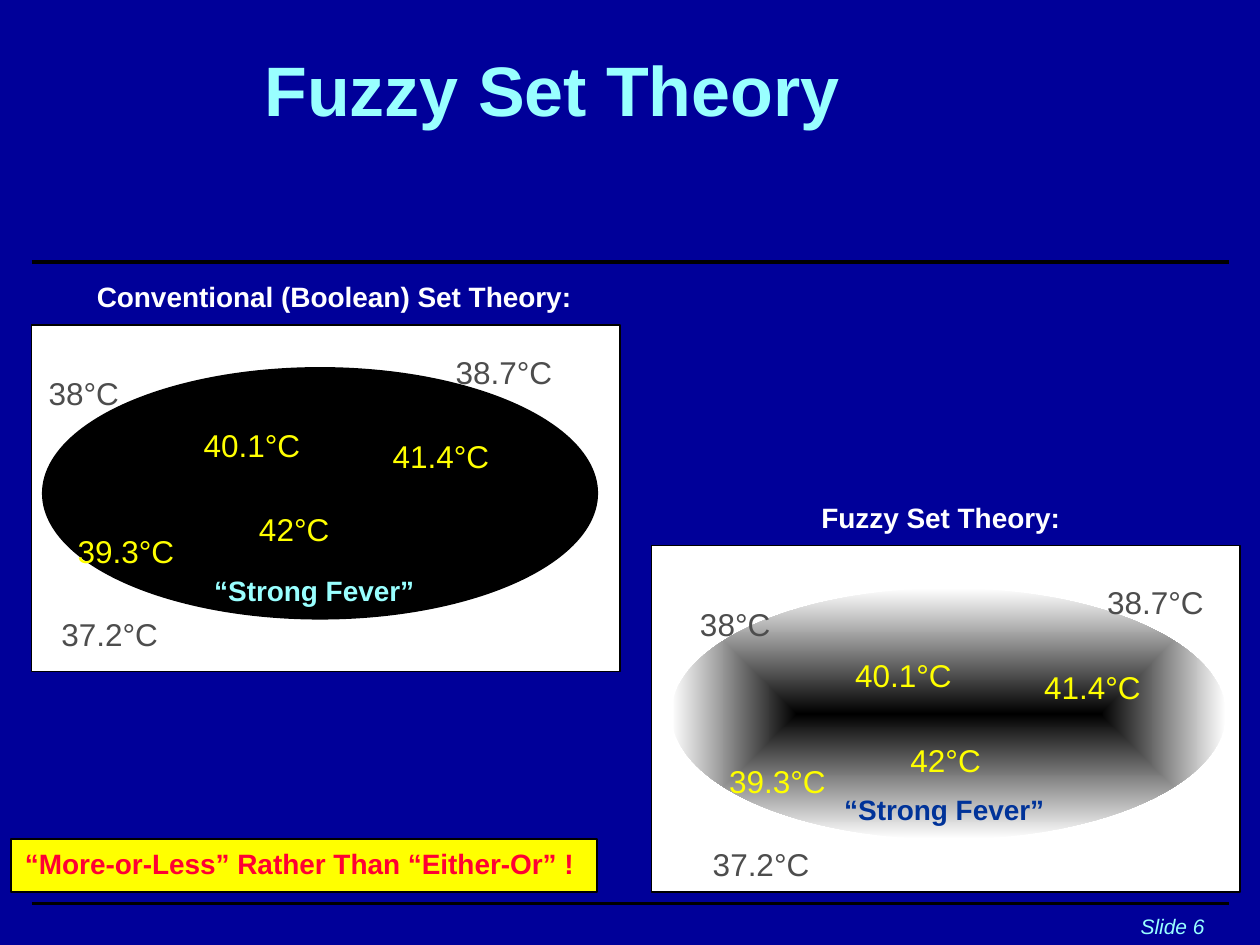
"""Build a slide comparing Boolean and fuzzy sets of fever temperatures."""
from dataclasses import dataclass

import pptx
import pptx.dml.color
import pptx.enum.shapes
import pptx.enum.text
import pptx.oxml
import pptx.oxml.ns
import pptx.util
from lxml import etree

Inches = pptx.util.Inches
Pt = pptx.util.Pt
SHAPE = pptx.enum.shapes.MSO_SHAPE
ALIGN = pptx.enum.text.PP_ALIGN
qn = pptx.oxml.ns.qn

BLACK, WHITE, YELLOW = "000000", "FFFFFF", "FFFF00"
CYAN, GREY, RED, BLUE, NAVY = "99FFFF", "4D4D4D", "FF0033", "003399", "000099"
Box = tuple[float, float, float, float]


@dataclass
class Reading:
    text: str
    left: float
    top: float
    width: float
    color: str


@dataclass
class Panel:
    caption: str
    caption_box: Box
    frame: Box
    oval: Box
    name_box: Box
    name_color: str
    dx: float
    dy: float
    fuzzy: bool


READINGS = [
    Reading("40.1°C", 1.5, 3.33, 1, YELLOW),
    Reading("42°C", 1.92, 4, 0.83, YELLOW),
    Reading("41.4°C", 3, 3.42, 1, YELLOW),
    Reading("39.3°C", 0.5, 4.17, 1, YELLOW),
    Reading("38.7°C", 3.5, 2.75, 1, GREY),
    Reading("37.2°C", 0.33, 4.83, 1.08, GREY),
    Reading("38°C", 0.25, 2.92, 0.83, GREY),
]
PANELS = [
    Panel("Conventional (Boolean) Set Theory:", (0.67, 2.17, 6.83, 0.69),
          (0.25, 2.58, 4.67, 2.75), (0.34, 2.92, 4.4, 1.99),
          (1.08, 4.5, 2.83, 0.69), CYAN, 0, 0, False),
    Panel("Fuzzy Set Theory:", (6.42, 3.92, 2.42, 0.69),
          (5.17, 4.33, 4.67, 2.75), (5.33, 4.67, 4.4, 1.99),
          (6.08, 6.24, 2.83, 0.69), BLUE, 5.17, 1.83, True),
]


def rgb(value: str) -> pptx.dml.color.RGBColor:
    return pptx.dml.color.RGBColor.from_string(value)


def add_figure(s, kind, box: Box, fill: str):
    sp = s.shapes.add_shape(kind, *map(Inches, box))
    sp.shadow.inherit = False
    sp.fill.solid()
    sp.fill.fore_color.rgb = rgb(fill)
    sp.line.color.rgb = rgb(BLACK)
    sp.line.width = Pt(1)
    return sp


def fade_outward(sp) -> None:
    sp.line.fill.background()
    sp.fill.gradient()
    for stop, color, position in zip(sp.fill.gradient_stops, (BLACK, WHITE), (0, 1)):
        stop.color.rgb = rgb(color)
        stop.position = position
    grad = sp._element.spPr.find(qn("a:gradFill"))
    grad.remove(grad.find(qn("a:lin")))
    path = etree.SubElement(grad, qn("a:path"), path="rect")
    etree.SubElement(path, qn("a:fillToRect"), l="50000", t="50000", r="50000", b="50000")


def add_text_shadow(r) -> None:
    effects = etree.SubElement(r._r.get_or_add_rPr(), qn("a:effectLst"))
    shadow = etree.SubElement(effects, qn("a:outerShdw"), dist="38100", dir="2700000")
    etree.SubElement(shadow, qn("a:srgbClr"), val=BLACK)


def add_text(s, box: Box, text: str, size: float, color: str, align=ALIGN.LEFT,
             bold: bool = False, italic: bool = False, shadow: bool = False) -> None:
    tf = s.shapes.add_textbox(*map(Inches, box)).text_frame
    tf.word_wrap = True
    p = tf.paragraphs[0]
    p.alignment = align
    r = p.add_run()
    r.text = text
    p.font.name = "Arial"
    p.font.size = Pt(size)
    p.font.bold = bold
    p.font.italic = italic
    p.font.color.rgb = rgb(color)
    if shadow:
        add_text_shadow(r)


def add_rule(s, y: float) -> None:
    line = s.shapes.add_connector(pptx.enum.shapes.MSO_CONNECTOR.STRAIGHT,
                                  Inches(0.25), Inches(y), Inches(9.75), Inches(y))
    line.line.color.rgb = rgb(BLACK)
    line.line.width = Pt(2)
    etree.SubElement(line._element.spPr, qn("a:effectLst"))


def add_panel(s, panel: Panel) -> None:
    add_text(s, panel.caption_box, panel.caption, 16, WHITE, bold=True, shadow=True)
    add_figure(s, SHAPE.RECTANGLE, panel.frame, WHITE)
    oval = add_figure(s, SHAPE.OVAL, panel.oval, BLACK)
    if panel.fuzzy:
        fade_outward(oval)
    add_text(s, panel.name_box, "“Strong Fever”", 16, panel.name_color,
             ALIGN.CENTER, bold=True)
    for item in READINGS:
        box = (item.left + panel.dx, item.top + panel.dy, item.width, 0.4)
        add_text(s, box, item.text, 18, item.color, ALIGN.CENTER,
                 shadow=panel.fuzzy and item.color == YELLOW)


def main() -> None:
    prs = pptx.Presentation()
    prs.slide_width, prs.slide_height = Inches(10), Inches(7.5)
    s = prs.slides.add_slide(prs.slide_layouts[6])
    s.background.fill.solid()
    s.background.fill.fore_color.rgb = rgb(NAVY)

    add_text(s, (2, 0.32, 7.92, 0.77), "Fuzzy Set Theory", 40, CYAN, bold=True, shadow=True)
    for y in (2.08, 7.17):
        add_rule(s, y)
    add_text(s, (0.23, 7.2, 9.43, 0.3), "Slide 6", 12, CYAN, ALIGN.RIGHT, italic=True)
    for panel in PANELS:
        add_panel(s, panel)
    add_figure(s, SHAPE.RECTANGLE, (0.09, 6.66, 4.65, 0.42), YELLOW)
    add_text(s, (0.1, 6.67, 5.07, 0.37), "“More-or-Less” Rather Than “Either-Or” !",
             16, RED, bold=True)
    prs.save("out.pptx")


if __name__ == "__main__":
    main()
